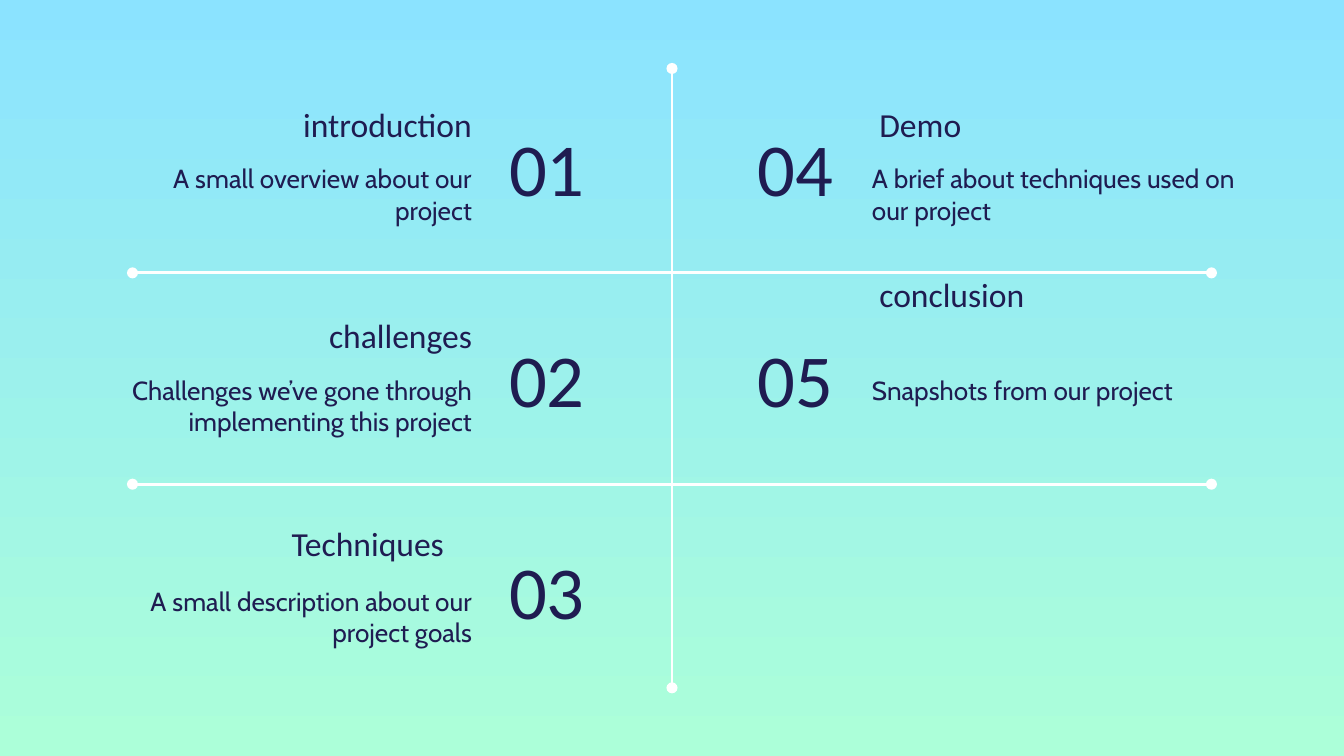
import pptx
import pptx.dml.color
import pptx.enum.shapes
import pptx.enum.text
import pptx.oxml.ns
import pptx.util
from lxml import etree

Pt = pptx.util.Pt
RGBColor = pptx.dml.color.RGBColor
PP_ALIGN = pptx.enum.text.PP_ALIGN
MSO_ANCHOR = pptx.enum.text.MSO_ANCHOR

SKY = RGBColor(0x8B, 0xE3, 0xFF)
MINT = RGBColor(0xAC, 0xFF, 0xD9)
NAVY = RGBColor(0x1F, 0x1C, 0x51)
WHITE = RGBColor(0xFF, 0xFF, 0xFF)

WIDTH, HEIGHT = 720, 405
ROW_STEP = 113.2
MARGIN, TEXT_WIDTH = 45.4, 214.6
NUMBER_WIDTH, NUMBER_LEFT = 93.6, 265.7
INSET = 7.2

# heading, description, heading shift right, heading shift down
LEFT_TOPICS = [
    ("introduction", "A small overview about our project", 0, 0),
    ("challenges", "Challenges we’ve gone through implementing this project", 0, 0),
    ("Techniques", "A small description about our project goals", -15, -2),
]
RIGHT_TOPICS = [
    ("Demo", "A brief about techniques used on our project", 4, 0),
    ("conclusion", "Snapshots from our project", 4, -22),
]


def paint_background(s):
    """Fill the slide with a gradient running from top to bottom."""
    fill = s.background.fill
    fill.gradient()
    fill.gradient_angle = 270
    for stop, color in zip(fill.gradient_stops, (SKY, MINT)):
        stop.color.rgb = color


def add_divider(s, x1, y1, x2, y2):
    """Draw a white line with a dot at each end."""
    line = s.shapes.add_connector(
        pptx.enum.shapes.MSO_CONNECTOR.STRAIGHT, Pt(x1), Pt(y1), Pt(x2), Pt(y2))
    line.line.color.rgb = WHITE
    line.line.width = Pt(1.5)
    qn = pptx.oxml.ns.qn
    ln = line.line._get_or_add_ln()
    for end in ("a:headEnd", "a:tailEnd"):
        etree.SubElement(ln, qn(end), type="oval")
    etree.SubElement(ln.getparent(), qn("a:effectLst"))


def add_text(s, box, text, font, size, align, anchor, sp=None):
    """Write one paragraph in the given placeholder or in a new text box."""
    sp = sp or s.shapes.add_textbox(0, 0, 0, 0)
    sp.left, sp.top, sp.width, sp.height = (Pt(v) for v in box)
    tf = sp.text_frame
    tf.word_wrap = True
    tf.auto_size = pptx.enum.text.MSO_AUTO_SIZE.NONE
    tf.vertical_anchor = anchor
    tf.margin_left = tf.margin_right = tf.margin_top = tf.margin_bottom = Pt(INSET)
    p = tf.paragraphs[0]
    p.text = text
    p.alignment = align
    p.space_before = Pt(0)
    p.font.name = font
    p.font.size = Pt(size)
    p.font.color.rgb = NAVY


def add_topic(s, number, row, topic, on_left, title=None, subtitle=None):
    """Add the heading, description and number of one agenda topic."""
    heading, description, dx, dy = topic
    y = row * ROW_STEP
    x = MARGIN if on_left else WIDTH - MARGIN - TEXT_WIDTH
    number_x = NUMBER_LEFT if on_left else WIDTH / 2
    outer, inner = PP_ALIGN.RIGHT, PP_ALIGN.LEFT
    if not on_left:
        outer, inner = inner, outer
    add_text(s, (number_x, y + 58.3, NUMBER_WIDTH, 62), f"{number:02d}",
             "Calibri", 40, inner, MSO_ANCHOR.MIDDLE)
    add_text(s, (x + dx, y + 48.4 + dy, TEXT_WIDTH, 36), heading,
             "Calibri", 18, outer, MSO_ANCHOR.BOTTOM, title)
    add_text(s, (x, y + 80, TEXT_WIDTH, 49.7), description,
             "Cabin", 14, outer, MSO_ANCHOR.TOP, subtitle)


def main():
    """Build the agenda slide and save it."""
    prs = pptx.Presentation()
    prs.slide_width, prs.slide_height = Pt(WIDTH), Pt(HEIGHT)
    s = prs.slides.add_slide(prs.slide_layouts[0])
    paint_background(s)
    add_divider(s, WIDTH / 2, 36.7, WIDTH / 2, 368.5)
    for row in range(2):
        y = 146.2 + row * ROW_STEP
        add_divider(s, 71, y, WIDTH - 71, y)
    placeholders = [(s.shapes.title, s.placeholders[1])]
    for row, topic in enumerate(LEFT_TOPICS):
        title, subtitle = placeholders[row] if row == 0 else (None, None)
        add_topic(s, row + 1, row, topic, True, title, subtitle)
    for row, topic in enumerate(RIGHT_TOPICS):
        add_topic(s, row + 1 + len(LEFT_TOPICS), row, topic, False)
    prs.save("out.pptx")


if __name__ == "__main__":
    main()
